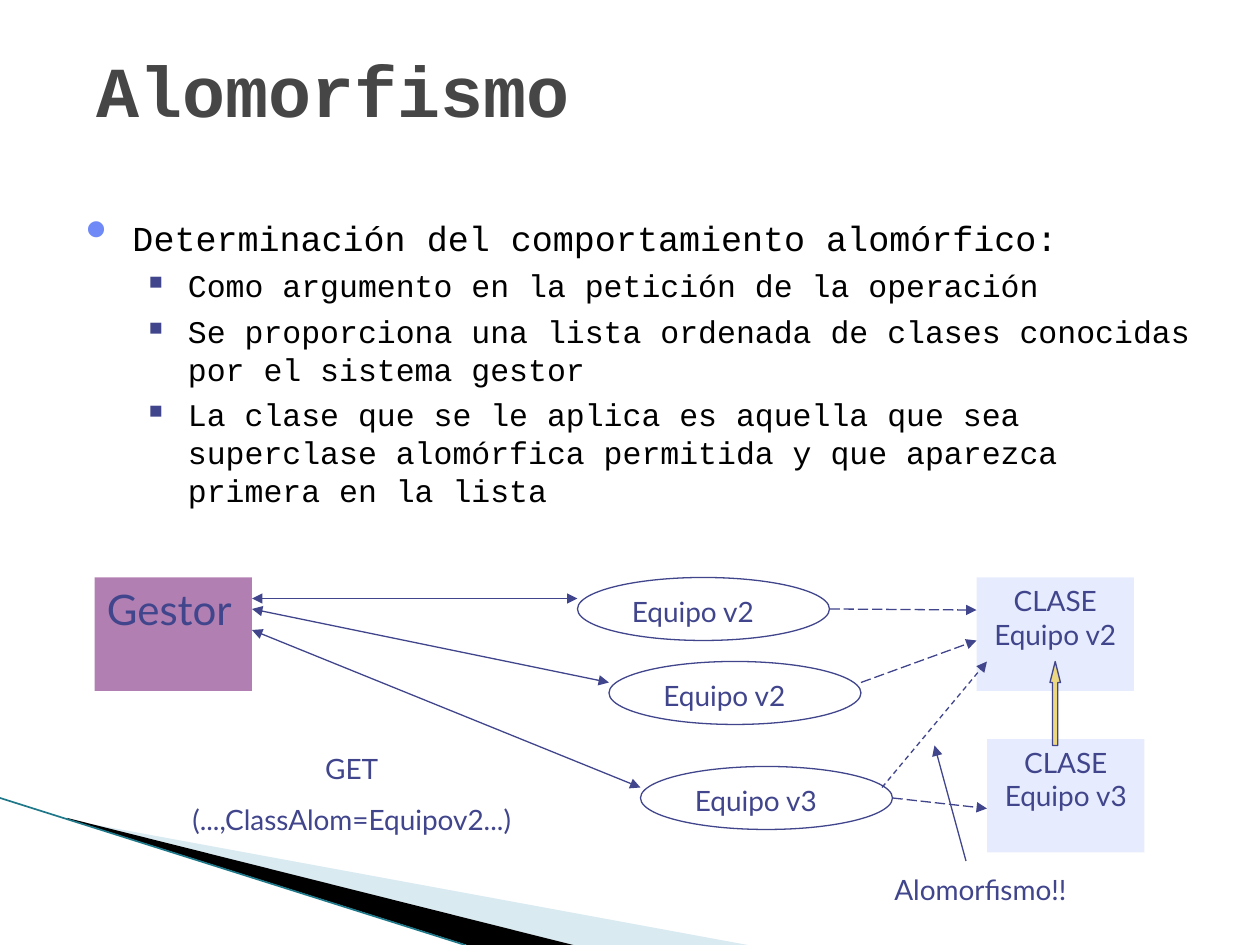
from pptx import Presentation
from pptx.dml.color import RGBColor
from pptx.enum.dml import MSO_LINE_DASH_STYLE as Dash
from pptx.enum.shapes import MSO_CONNECTOR as Link, MSO_SHAPE as Form
from pptx.enum.text import MSO_ANCHOR as Anchor, PP_ALIGN as Align
from pptx.oxml.ns import qn
from pptx.util import Inches, Pt
from lxml.etree import SubElement as Sub

INK = RGBColor(0x40, 0x45, 0x8C)
BLACK = RGBColor(0, 0, 0)
GREY = RGBColor(0x46, 0x46, 0x46)
PLUM = RGBColor(0x66, 0x00, 0x66)
PALE = RGBColor(0xCF, 0xDB, 0xFD)
GOLD = RGBColor(0xEC, 0xD8, 0x82)
SKY = RGBColor(0xA0, 0xCB, 0xDC)
TEAL = RGBColor(0x1F, 0x78, 0x89)
BLUE = RGBColor(0x6F, 0x89, 0xF7)
MONO, SANS = "Courier New", "Lato"


class Board:
    """Draws styled elements on a slide with a grid of 120 columns by 90 rows."""

    def __init__(self, deck):
        self.slide = deck.slides.add_slide(deck.slide_layouts[6])
        self.shapes = self.slide.shapes
        self.unit = Inches(1) / 12

    def span(self, *cells):
        return [round(cell * self.unit) for cell in cells]

    def paint(self, shape, fill=None, line=None, alpha=None):
        shape.shadow.inherit = False
        if fill is None:
            shape.fill.background()
        else:
            shape.fill.solid()
            shape.fill.fore_color.rgb = fill
        if alpha:
            tint = shape._element.spPr.find(".//" + qn("a:srgbClr"))
            Sub(tint, qn("a:alpha"), val=str(alpha * 1000))
        if line is None:
            shape.line.fill.background()
        else:
            shape.line.color.rgb = line
            shape.line.width = Pt(0.75)

    def shape(self, form, box, fill=None, line=None, alpha=None, home=None):
        item = (home or self.shapes).add_shape(form, *self.span(*box))
        self.paint(item, fill, line, alpha)
        return item

    def wedge(self, points, fill, alpha=None):
        start, *rest = [self.span(*point) for point in points]
        pen = self.shapes.build_freeform(*start, scale=1.0)
        pen.add_line_segments(rest, close=True)
        self.paint(pen.convert_to_shape(), fill, alpha=alpha)

    def add_run(self, para, text, size, color=INK, font=SANS, bold=False):
        run = para.add_run()
        run.text = text
        run.font.size, run.font.name, run.font.bold = Pt(size), font, bold
        run.font.color.rgb = color

    def fill_in(self, item, lines, size=16, align=Align.LEFT, gap=10, **style):
        frame = item.text_frame
        frame.word_wrap = True
        frame.vertical_anchor = Anchor.TOP
        for i, text in enumerate(lines):
            para = frame.add_paragraph() if i else frame.paragraphs[0]
            para.alignment, para.space_before = align, Pt(gap)
            self.add_run(para, text, size, **style)
        return frame

    def label(self, box, *lines, home=None, **style):
        item = (home or self.shapes).add_textbox(*self.span(*box))
        return self.fill_in(item, lines, **style)

    def block(self, col, row, text, fill, **style):
        item = self.shape(Form.RECTANGLE, (col, row, 15, 10.8), fill, alpha=50)
        self.fill_in(item, [text], **style)

    def oval(self, col, row, text):
        home = self.shapes.add_group_shape().shapes
        self.shape(Form.OVAL, (col, row, 24, 6), line=INK, home=home)
        self.label((col + 4, row + 1, 16, 4.4), text, home=home)

    def bullet(self, para, mark, color, scale, left, hang):
        props = para._p.get_or_add_pPr()
        props.set("marL", str(Inches(left)))
        props.set("indent", str(Inches(-hang)))
        Sub(Sub(props, qn("a:buClr")), qn("a:srgbClr"), val=str(color))
        Sub(props, qn("a:buSzPct"), val=str(scale * 1000))
        Sub(props, qn("a:buChar"), char=mark)

    def points(self, box, head, items):
        frame = self.label(box, head, size=20, gap=5, color=BLACK, font=MONO)
        self.bullet(frame.paragraphs[0], "•", BLUE, 176, 0.37, 0.37)
        for text in items:
            para = frame.add_paragraph()
            para.level, para.space_before = 1, Pt(4.5)
            self.add_run(para, text, 18, BLACK, MONO)
            self.bullet(para, "■", INK, 60, 0.81, 0.31)

    def link(self, ends, color=INK, width=0.75, dash=None, tips=("tailEnd",)):
        item = self.shapes.add_connector(Link.STRAIGHT, *self.span(*ends))
        item.line.color.rgb, item.line.width = color, Pt(width)
        if dash:
            item.line.dash_style = dash
        props = item._element.spPr
        for tip in tips:
            Sub(props.find(qn("a:ln")), qn("a:" + tip), type="triangle")
        Sub(props, qn("a:effectLst"))


def main():
    deck = Presentation()
    deck.slide_width, deck.slide_height = Inches(10), Inches(7.5)
    board = Board(deck)

    board.wedge([(6.6, 78.1), (71.2, 90), (54.6, 90), (6.6, 78)], SKY, 40)
    board.wedge([(6.4, 77.9), (54.6, 90), (44.5, 90), (6.5, 78)], BLACK)
    board.link((0, 76, 44.3, 90), TEAL, 0.95, tips=())

    board.points((7, 20, 108, 29), "Determinación del comportamiento alomórfico:", [
        "Como argumento en la petición de la operación",
        "Se proporciona una lista ordenada de clases conocidas por el sistema gestor",
        "La clase que se le aplica es aquella que sea superclase alomórfica "
        "permitida y que aparezca primera en la lista",
    ])
    title = board.label((8, 1, 102, 15), "Alomorfismo", size=41, gap=0,
                        color=GREY, font=MONO, bold=True)
    title.vertical_anchor = Anchor.MIDDLE

    board.block(9, 55, "Gestor", PLUM, size=24, gap=15)
    for col, row, text in [(55, 55, "Equipo v2"), (58, 63, "Equipo v2"),
                           (61, 73, "Equipo v3")]:
        board.oval(col, row, text)
    for col, row, text in [(93, 55, "CLASE Equipo v2"), (94, 70.4, "CLASE Equipo v3")]:
        board.block(col, row, text, PALE, align=Align.CENTER)

    arrow = board.shape(Form.UP_ARROW, (100, 63, 1, 8), GOLD, INK)
    arrow.adjustments[0], arrow.adjustments[1] = 0.5, 2

    for ends, dash in [((79, 58, 93, 58.1), Dash.LONG_DASH),
                       ((82, 65, 93, 61), Dash.LONG_DASH),
                       ((84, 75, 94, 63), Dash.DASH),
                       ((85, 76, 94, 77), Dash.LONG_DASH)]:
        board.link(ends, dash=dash)

    board.label((84, 82.5, 20, 7.5), "Alomorfismo!!")
    board.link((92, 82, 89, 71))
    board.label((14, 71, 39, 9.2), "GET", "(...,ClassAlom=Equipov2...)", align=Align.CENTER)
    for ends in [(24, 57, 55, 57), (24, 58, 58, 65), (24, 60, 61, 75)]:
        board.link(ends, tips=("headEnd", "tailEnd"))

    deck.save("out.pptx")


if __name__ == "__main__":
    main()
